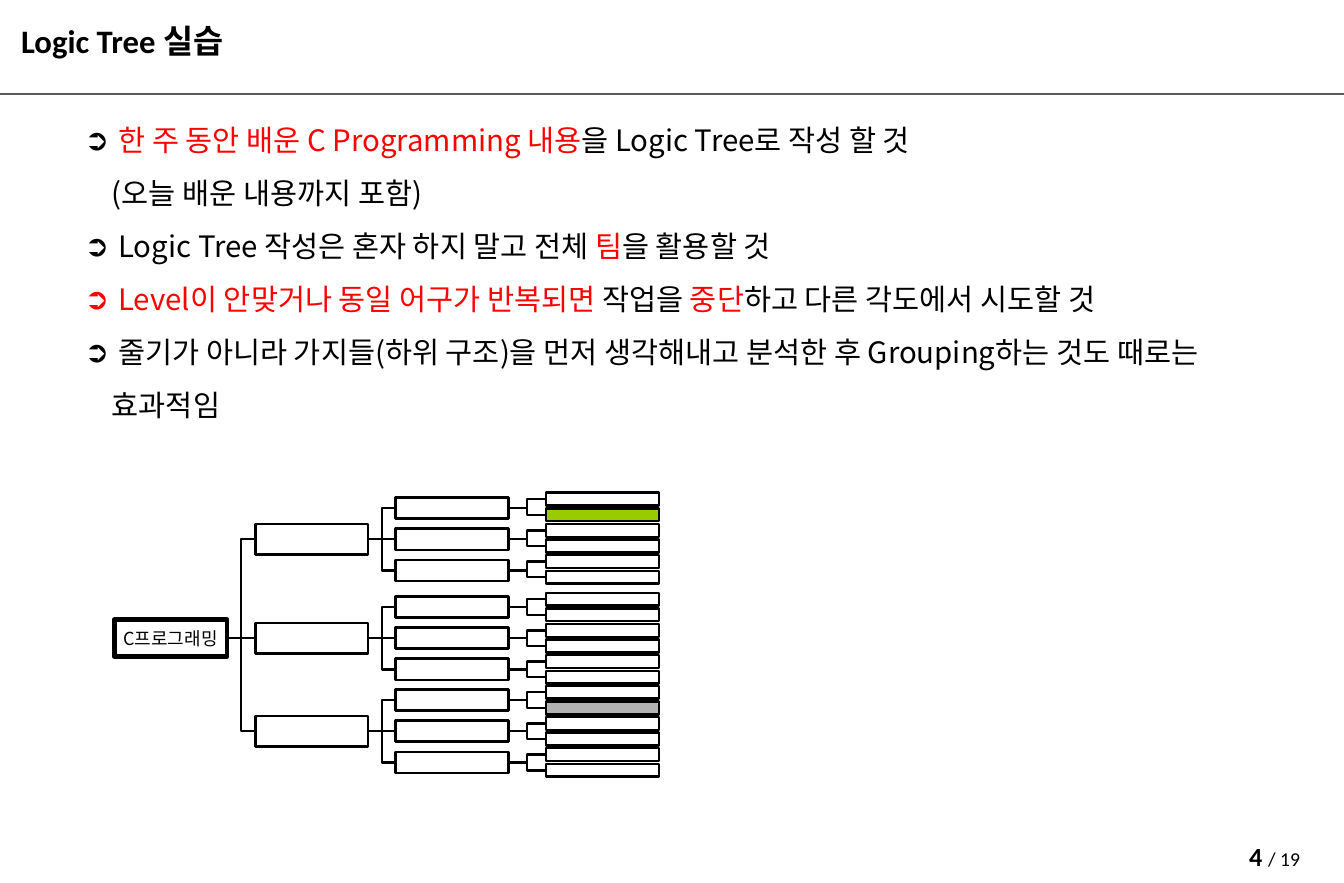
from dataclasses import dataclass

from pptx import Presentation
from pptx.dml.color import RGBColor
from pptx.enum.shapes import MSO_CONNECTOR, MSO_SHAPE
from pptx.enum.text import MSO_ANCHOR, MSO_AUTO_SIZE, PP_ALIGN
from pptx.oxml.xmlchemy import OxmlElement
from pptx.util import Inches, Pt

RECTANGLE = MSO_SHAPE.RECTANGLE
STRAIGHT, ELBOW = MSO_CONNECTOR.STRAIGHT, MSO_CONNECTOR.ELBOW
TOP, MIDDLE, BOTTOM = MSO_ANCHOR.TOP, MSO_ANCHOR.MIDDLE, MSO_ANCHOR.BOTTOM
LEFT, CENTER = PP_ALIGN.LEFT, PP_ALIGN.CENTER
NO_AUTOFIT = MSO_AUTO_SIZE.NONE


@dataclass(frozen=True)
class Theme:
    heading_font: str = "Calibri"
    body_font: str = "Noto Sans CJK KR"
    black: str = "000000"
    red: str = "FF0000"
    rule: str = "595959"
    green: str = "99CC00"
    gray: str = "B2B2B2"
    title_size: int = 20
    body_size: int = 18
    page_size: int = 16
    total_size: int = 12
    node_size: int = 11
    body_leading: float = 32.4
    thin: float = 1.5
    thick: float = 3


THEME = Theme()

# Body text: (bullet colour or None, runs of text and colour)
BODY = [
    (THEME.black, [(" ", THEME.black),
                   ("한 주 동안 배운 C Programming 내용", THEME.red),
                   ("을 Logic Tree로 작성 할 것", THEME.black)]),
    (None, [("(오늘 배운 내용까지 포함)", THEME.black)]),
    (THEME.black, [(" Logic Tree 작성은 혼자 하지 말고 전체 ", THEME.black),
                   ("팀", THEME.red), ("을 활용할 것", THEME.black)]),
    (THEME.red, [(" Level이 안맞거나 동일 어구가 반복되면 ", THEME.red),
                 ("작업을 ", THEME.black), ("중단", THEME.red),
                 ("하고 다른 각도에서 시도할 것", THEME.black)]),
    (THEME.black, [(" 줄기가 아니라 가지들(하위 구조)을 먼저 생각해내고 분석한 후 "
                    "Grouping하는 것도 때로는 효과적임", THEME.black)]),
]

# Tree: left edge of each level, and (branch centre, first leaf centre)
NODE_WIDTH = 0.96
ROOT_LEFT, BRANCH_LEFT, TWIG_LEFT, LEAF_LEFT = 0.97, 2.17, 3.36, 4.64
ROOT_CENTER = 5.42
BRANCHES = [(4.58, 4.24), (5.42, 5.09), (6.21, 5.88)]
TWIG_PITCH = 0.53 / 2
LEAF_PITCH = TWIG_PITCH / 2
LEAF_FILLS = {(0, 1): THEME.green, (2, 1): THEME.gray}


def add_run(paragraph, text, *, size, font, color=THEME.black, bold=False):
    run = paragraph.add_run()
    run.text = text
    run.font.size = Pt(size)
    run.font.name = font
    run.font.bold = bold
    run.font.color.rgb = RGBColor.from_string(color)
    east_asian = OxmlElement("a:ea")
    east_asian.set("typeface", THEME.body_font)
    run.font._element.append(east_asian)


def set_bullet(paragraph, color, indent):
    properties = paragraph._p.get_or_add_pPr()
    properties.set("marL", str(indent))
    properties.set("indent", str(-indent if color else 0))
    if color is None:
        properties.append(OxmlElement("a:buNone"))
        return
    bullet_color = OxmlElement("a:buClr")
    value = OxmlElement("a:srgbClr")
    value.set("val", color)
    bullet_color.append(value)
    bullet = OxmlElement("a:buChar")
    bullet.set("char", "➲")
    properties.extend([bullet_color, bullet])


class SlideBuilder:
    def __init__(self, slide, theme):
        self.slide = slide
        self.theme = theme
        self.shapes = slide.shapes

    def place(self, shape, left, top, width, height):
        shape.left, shape.top = Inches(left), Inches(top)
        shape.width, shape.height = Inches(width), Inches(height)

    def frame(self, shape, anchor, side_margin=0.1, margin=0.05, wrap=True):
        frame = shape.text_frame
        frame.auto_size = NO_AUTOFIT
        frame.word_wrap = wrap
        frame.vertical_anchor = anchor
        frame.margin_left = frame.margin_right = Inches(side_margin)
        frame.margin_top = frame.margin_bottom = Inches(margin)
        return frame

    def title(self, text):
        shape = self.slide.shapes.title
        self.place(shape, 0.08, 0.09, 5.11, 0.44)
        paragraph = self.frame(shape, BOTTOM, margin=0.02).paragraphs[0]
        paragraph.alignment = LEFT
        add_run(paragraph, text, size=self.theme.title_size,
                font=self.theme.heading_font, bold=True)

    def body(self, items):
        shape = self.slide.placeholders[1]
        self.place(shape, 0.62, 0.84, 10.21, 5.98)
        frame = self.frame(shape, TOP)
        for index, (bullet_color, runs) in enumerate(items):
            paragraph = frame.add_paragraph() if index else frame.paragraphs[0]
            set_bullet(paragraph, bullet_color, Inches(0.23))
            paragraph.alignment = LEFT
            paragraph.space_before = Pt(0)
            paragraph.line_spacing = Pt(self.theme.body_leading)
            for text, color in runs:
                add_run(paragraph, text, size=self.theme.body_size,
                        font=self.theme.body_font, color=color)

    def page_number(self, current, total):
        shape = self.slide.shapes.add_textbox(
            Inches(10.24), Inches(7.09), Inches(1.18), Inches(0.24))
        paragraph = self.frame(shape, TOP).paragraphs[0]
        paragraph.alignment = CENTER
        font = self.theme.heading_font
        add_run(paragraph, current, size=self.theme.page_size, font=font, bold=True)
        add_run(paragraph, total, size=self.theme.total_size, font=font)

    def line(self, start, end, color=None):
        """Draw a straight line, or an elbow when the ends differ in height."""
        kind = STRAIGHT if start[1] == end[1] else ELBOW
        connector = self.shapes.add_connector(
            kind, *(Inches(value) for value in (*start, *end)))
        connector.line.color.rgb = RGBColor.from_string(color or self.theme.black)
        connector.line.width = Pt(self.theme.thin)
        connector._element.spPr.append(OxmlElement("a:effectLst"))

    def node(self, left, center, height, fill=None, text=None, border=None):
        shape = self.shapes.add_shape(
            RECTANGLE, Inches(left), Inches(center - height / 2),
            Inches(NODE_WIDTH), Inches(height))
        shape.shadow.inherit = False
        if fill:
            shape.fill.solid()
            shape.fill.fore_color.rgb = RGBColor.from_string(fill)
        else:
            shape.fill.background()
        shape.line.color.rgb = RGBColor.from_string(self.theme.black)
        shape.line.width = Pt(border or self.theme.thin)
        if text:
            frame = self.frame(shape, MIDDLE, side_margin=0, wrap=False)
            paragraph = frame.paragraphs[0]
            paragraph.alignment = CENTER
            add_run(paragraph, text, size=self.theme.node_size,
                    font=self.theme.body_font)

    def tree(self, root_text):
        self.shapes = self.slide.shapes.add_group_shape().shapes
        self.node(ROOT_LEFT, ROOT_CENTER, 0.31, text=root_text,
                  border=self.theme.thick)
        for branch, (center, first_leaf) in enumerate(BRANCHES):
            self.node(BRANCH_LEFT, center, 0.26)
            self.line((ROOT_LEFT + NODE_WIDTH, ROOT_CENTER), (BRANCH_LEFT, center))
            for twig in range(3):
                twig_center = center + (twig - 1) * TWIG_PITCH
                self.node(TWIG_LEFT, twig_center, 0.18)
                self.line((BRANCH_LEFT + NODE_WIDTH, center), (TWIG_LEFT, twig_center))
                for leaf in (2 * twig, 2 * twig + 1):
                    leaf_center = first_leaf + leaf * LEAF_PITCH
                    self.node(LEAF_LEFT, leaf_center, 0.11,
                              fill=LEAF_FILLS.get((branch, leaf)))
                    self.line((TWIG_LEFT + NODE_WIDTH, twig_center),
                              (LEAF_LEFT, leaf_center))
        self.shapes = self.slide.shapes


def main():
    presentation = Presentation()
    presentation.slide_width, presentation.slide_height = Inches(11.42), Inches(7.5)
    slide = presentation.slides.add_slide(presentation.slide_layouts[1])
    builder = SlideBuilder(slide, THEME)

    # Header and footer
    builder.page_number("4 ", "/ 19")
    builder.line((0, 0.8), (11.42, 0.8), color=THEME.rule)
    builder.title("Logic Tree 실습")

    # Instructions and logic tree
    builder.body(BODY)
    builder.tree("C프로그래밍")

    presentation.save("out.pptx")


if __name__ == "__main__":
    main()
